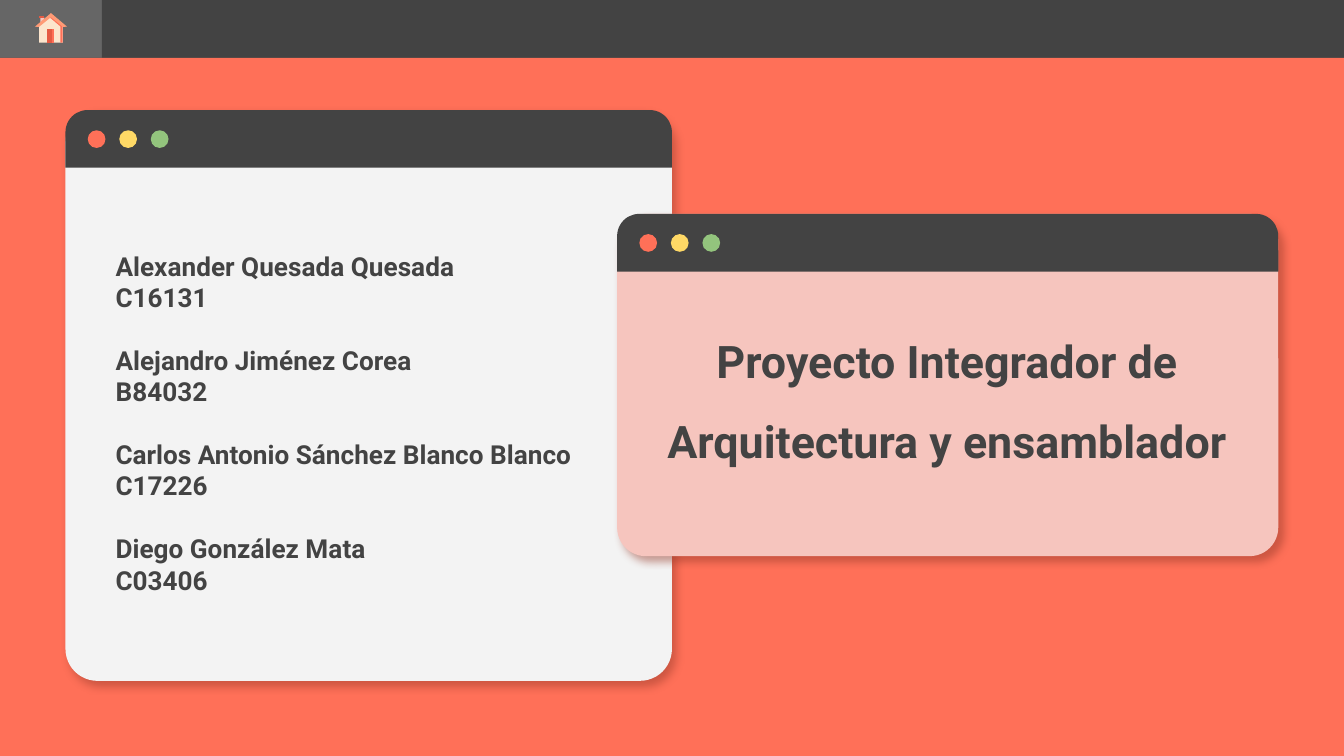
from lxml import etree
from pptx import Presentation
from pptx.dml.color import RGBColor
from pptx.enum import shapes, text
from pptx.oxml import ns
from pptx.util import Pt

CORAL = RGBColor(0xFF, 0x70, 0x58)
DARK = RGBColor(0x43, 0x43, 0x43)
GREY = RGBColor(0x66, 0x66, 0x66)
PALE = RGBColor(0xF3, 0xF3, 0xF3)
PINK = RGBColor(0xF6, 0xC5, 0xBE)
GOLD = RGBColor(0xFF, 0xD9, 0x66)
GREEN = RGBColor(0x93, 0xC4, 0x7D)
CREAM = RGBColor(0xFC, 0xE5, 0xCD)
BRICK = RGBColor(0xE5, 0x5A, 0x43)
PEACH = RGBColor(0xFF, 0x9A, 0x75)
SHADE = RGBColor(0x96, 0x3A, 0x2A)

KIND = shapes.MSO_SHAPE
WIDE, HIGH = 720, 405
BAR = 30.9


class Deck:
    """Holds the style and the current slide."""

    font = "Roboto"
    ink = DARK

    def __init__(self):
        self.file = Presentation()
        self.file.slide_width, self.file.slide_height = Pt(WIDE), Pt(HIGH)
        self.slide = self.file.slides.add_slide(self.file.slide_layouts[5])
        self.slide.background.fill.solid()
        self.slide.background.fill.fore_color.rgb = CORAL

    def paint(self, shape, color):
        shape.shadow.inherit = False
        shape.fill.solid()
        shape.fill.fore_color.rgb = color
        shape.line.fill.background()
        return shape

    def shape(self, kind, box, color, adjust=(), home=None):
        owner = home or self.slide
        item = owner.shapes.add_shape(kind, *map(Pt, box))
        for i, value in enumerate(adjust):
            item.adjustments[i] = value
        return self.paint(item, color)

    def outline(self, points, color, home):
        # Hundredths of a point keep the small corners exact
        dots = [(round(x * 100), round(y * 100)) for x, y in points]
        pen = home.shapes.build_freeform(*dots[0], scale=Pt(1) / 100)
        pen.add_line_segments(dots[1:], close=True)
        return self.paint(pen.convert_to_shape(), color)

    def shadow(self, shape):
        props = shape.element.spPr
        effects = props.find(ns.qn("a:effectLst"))
        outer = etree.SubElement(
            effects, ns.qn("a:outerShdw"), blurRad=str(Pt(4.5)),
            dist=str(Pt(3.8)), dir=str(49 * 60000), algn="bl", rotWithShape="0")
        color = etree.SubElement(outer, ns.qn("a:srgbClr"), val=str(SHADE))
        etree.SubElement(color, ns.qn("a:alpha"), val="47000")

    def window(self, left, top, width, height, color, round_by):
        group = self.slide.shapes.add_group_shape()
        body = self.shape(KIND.ROUNDED_RECTANGLE, (left, top, width, height),
                          color, [round_by], group)
        self.shadow(body)
        self.shape(KIND.ROUND_2_SAME_RECTANGLE, (left, top, width, BAR),
                   DARK, [0.383, 0], group)
        for i, dot in enumerate((CORAL, GOLD, GREEN)):
            self.shape(KIND.OVAL, (left + 11.9 + 16.9 * i, top + 10.8, 9.5, 9.5),
                       dot, home=group)

    def frame(self, shape, inset):
        body = shape.text_frame
        body.word_wrap = True
        body.auto_size = text.MSO_AUTO_SIZE.NONE
        body.vertical_anchor = text.MSO_ANCHOR.MIDDLE
        body.margin_left, body.margin_right = Pt(inset), Pt(7.2)
        body.margin_top, body.margin_bottom = Pt(14.4), Pt(0)
        return body

    def style(self, para, size):
        para.font.name, para.font.size = self.font, Pt(size)
        para.font.bold, para.font.color.rgb = True, self.ink

    def people(self, box, pairs):
        body = self.frame(self.slide.shapes.add_textbox(*map(Pt, box)), 18)
        para = body.paragraphs[0]
        for i, pair in enumerate(pairs):
            for j, line in enumerate(pair):
                if i or j:
                    para = body.add_paragraph()
                para.text = line
                self.style(para, 14)
                if i and not j:
                    para.space_before = Pt(16.8)

    def title(self, box, words):
        item = self.slide.shapes.title
        item.left, item.top, item.width, item.height = map(Pt, box)
        self.slide.shapes.element.append(item.element)  # bring to front
        body = self.frame(item, 7.2)
        body.text = words
        para = body.paragraphs[0]
        para.alignment = text.PP_ALIGN.CENTER
        para.line_spacing, para.space_after = 1.5, Pt(16)
        self.style(para, 24)

    def house(self):
        group = self.slide.shapes.add_group_shape()
        parts = [
            # Chimney and its cap
            (PINK, [(21.6, 9.4), (21.6, 12.4), (23.8, 10.4), (23.8, 9.4)]),
            (BRICK, [(20.8, 8.6), (23.8, 8.6), (23.8, 9.6), (20.8, 9.6)]),
            # Wall and its shaded side
            (CREAM, [(27.3, 8.7), (21, 14), (21, 22.8), (33.6, 22.8), (33.6, 14)]),
            (CORAL, [(27.3, 8.7), (26.6, 9.3), (32.4, 14.2), (32.4, 22.8),
                     (33.6, 22.8), (33.6, 14)]),
            # Door and its light edge
            (BRICK, [(25.4, 15.8), (29.2, 15.8), (29.2, 22.8), (25.4, 22.8)]),
            (CORAL, [(28, 15.8), (29.2, 15.8), (29.2, 22.8), (28, 22.8)]),
            # Roof
            (PEACH, [(27.3, 7), (18.7, 14.3), (20.9, 14.4), (27.3, 9.2),
                     (33.7, 14.4), (35.9, 14.3)]),
        ]
        for color, points in parts:
            self.outline(points, color, group)


def main():
    deck = Deck()

    # Windows
    deck.window(35.1, 59, 324.9, 305.8, PALE, 0.056)
    deck.window(330.6, 114.6, 354.2, 183.4, PINK, 0.084)

    # Team
    deck.people((43.9, 111.6, 288.7, 215.3), [
        ("Alexander Quesada Quesada", "C16131"),
        ("Alejandro Jiménez Corea", "B84032"),
        ("Carlos Antonio Sánchez Blanco Blanco", "C17226"),
        ("Diego González Mata", "C03406"),
    ])

    # Navigation bar: home tab, then six equal tabs
    home, count = 54.6, 6
    step = (WIDE - home) / count
    deck.shape(KIND.RECTANGLE, (0, 0, WIDE, BAR), DARK)
    deck.shape(KIND.RECTANGLE, (0, 0, home, BAR), GREY)
    for i in range(count):
        deck.shape(KIND.RECTANGLE, (home + step * i, 0, step, BAR), DARK)
    deck.house()

    # Title
    deck.title((349.2, 169.2, 316.1, 61.9),
               "Proyecto Integrador de Arquitectura y ensamblador")

    deck.file.save("out.pptx")


if __name__ == "__main__":
    main()
